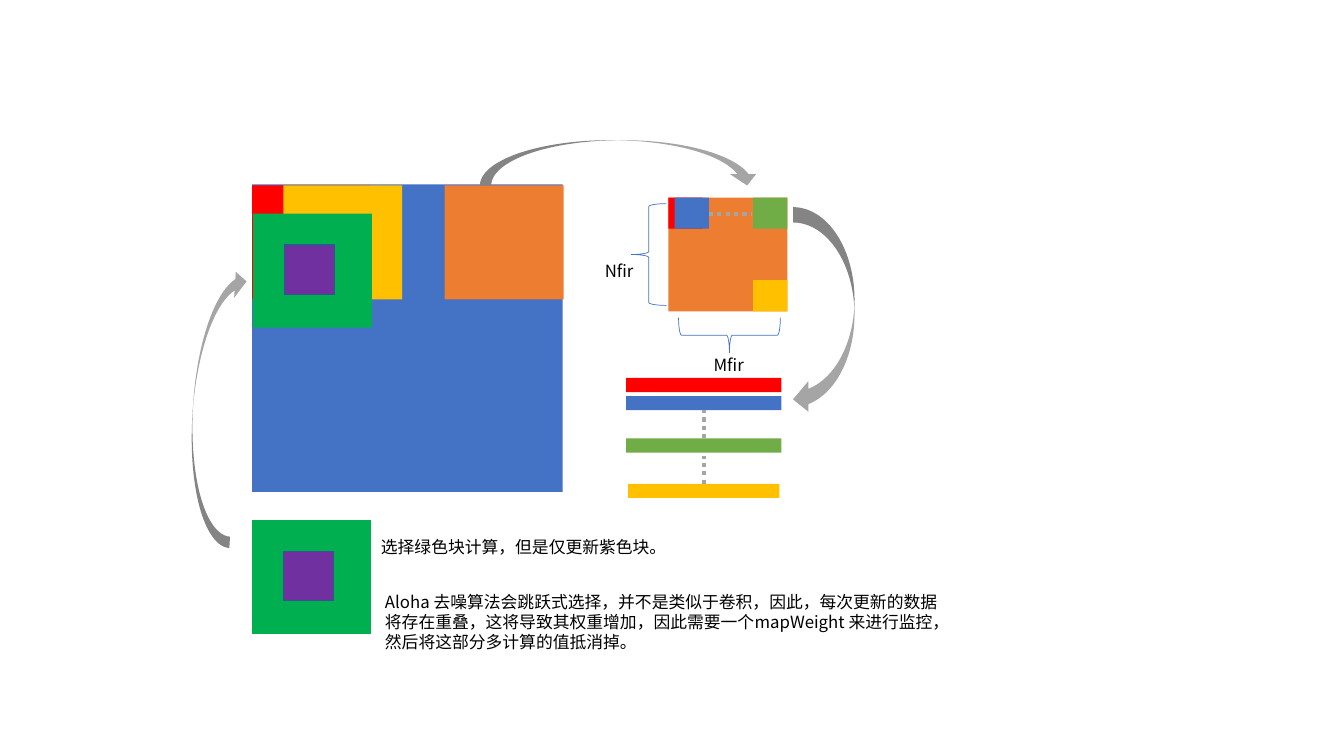
from lxml import etree
from pptx import Presentation
from pptx import util as u
from pptx.dml.color import RGBColor
from pptx.enum import dml, shapes, text
from pptx.oxml import ns

FONT = "Noto Sans CJK SC"
BLUE = RGBColor(0x44, 0x72, 0xC4)
ORANGE = RGBColor(0xED, 0x7D, 0x31)
GRAY = RGBColor(0xA5, 0xA5, 0xA5)
RED = RGBColor(0xFF, 0x00, 0x00)
YELLOW = RGBColor(0xFF, 0xC0, 0x00)
LIME = RGBColor(0x70, 0xAD, 0x47)
GREEN = RGBColor(0x00, 0xB0, 0x50)
PURPLE = RGBColor(0x70, 0x30, 0xA0)
PURPLE_EDGE = RGBColor(0x32, 0x54, 0x91)
BLACK = RGBColor(0, 0, 0)

# Sizes in inches
IMAGE = (2.5, 1.83, 3.08, 3.05)
BLOCK = (1.18, 1.13)
PATCH = (0.34, 0.31)
CORE = (0.5, 0.49)
STEP = 0.31
STACK = (6.63, 1.96)
BAR_LEFT, BAR_WIDTH, BAR_HEIGHT = 6.21, 1.54, 0.14

BLOCKS = [(4.41, 1.84, ORANGE), (*STACK, ORANGE), (2.5, 1.84, RED), (2.5 + STEP, 1.84, YELLOW)]
FAR_X, FAR_Y = BLOCK[0] - PATCH[0], BLOCK[1] - PATCH[1]
PATCHES = [(0, 0, RED), (0.06, 0, BLUE), (FAR_X, 0, LIME), (FAR_X, FAR_Y, YELLOW)]
BARS = [(3.75, 0, RED), (3.93, 0, BLUE), (4.35, 0, LIME), (4.8, 0.02, YELLOW)]
KERNELS = [(2.51, 2.12), (2.5, 5.16)]
DOTS = [(7.03, 2.12, 7.46, 2.12), (6.98, 4.35, 6.98, 4.07), (6.98, 4.8, 6.98, 4.52)]
ARROWS = [  # area, rotation, bend
    ((4.76, 1.39, 2.78, 0.45), 0, 0.575),
    ((7.14, 2.78, 2.06, 0.61), 90, 0.5),
    ((0.75, 3.81, 2.78, 0.45), 273.7, 0.575),
]
BRACES = [((6.26, 2.02, 0.35, 1.01), 0), ((7.06, 2.82, 0.35, 1.01), 270)]
LABELS = [
    ((5.9, 2.54, 0.64, 0.3), "Nfir"),
    ((6.98, 3.47, 0.64, 0.3), "Mfir"),
    ((3.68, 5.28, 3.07, 0.3), "选择绿色块计算，但是仅更新紫色块。"),
    ((3.72, 5.82, 5.77, 0.71),
     "Aloha 去噪算法会跳跃式选择，并不是类似于卷积，因此，每次更新的数据"
     "将存在重叠，这将导致其权重增加，因此需要一个mapWeight 来进行监控，"
     "然后将这部分多计算的值抵消掉。"),
]


def inches(area):
    """Turn a row of inch values into lengths."""
    return [u.Inches(value) for value in area]


def assign(target, **formats):
    """Set each format value on the target."""
    for name, value in formats.items():
        setattr(target, name, value)


def draw(page, kind, area, fill=None, edge=None, width=1, rotation=0):
    """Add a flat preset shape with an optional fill and edge."""
    shape = page.shapes.add_shape(kind, *inches(area))
    shape.shadow.inherit = False
    shape.rotation = rotation
    for part, color in ((shape.fill, fill), (shape.line.fill, edge)):
        if color is None:
            part.background()
        else:
            part.solid()
            part.fore_color.rgb = color
    if edge is not None:
        shape.line.width = u.Pt(width)
    return shape


def draw_dots(page, ends):
    """Add a dotted gray line."""
    line = page.shapes.add_connector(shapes.MSO_CONNECTOR.STRAIGHT, *inches(ends))
    line.line.color.rgb = GRAY
    assign(line.line, width=u.Pt(3), dash_style=dml.MSO_LINE.ROUND_DOT)
    etree.SubElement(line._element.spPr, ns.qn("a:effectLst"))


def write(page, area, words):
    """Add a wrapped text box."""
    box = page.shapes.add_textbox(*inches(area))
    assign(box.text_frame, word_wrap=True, auto_size=text.MSO_AUTO_SIZE.SHAPE_TO_FIT_TEXT)
    span = box.text_frame.paragraphs[0].add_run()
    span.text = words
    assign(span.font, size=u.Pt(12), name=FONT)
    span.font.color.rgb = BLACK
    etree.SubElement(span.font._element, ns.qn("a:ea"), typeface=FONT)


def build():
    """Build the deck and save it."""
    deck = Presentation()
    assign(deck, slide_width=u.Inches(13.33), slide_height=u.Inches(7.5))
    page = deck.slides.add_slide(deck.slide_layouts[6])
    kinds = shapes.MSO_SHAPE

    draw(page, kinds.RECTANGLE, IMAGE, BLUE)
    for left, top, color in BLOCKS:
        draw(page, kinds.RECTANGLE, (left, top, *BLOCK), color)
    for across, down, color in PATCHES:
        draw(page, kinds.RECTANGLE, (STACK[0] + across, STACK[1] + down, *PATCH), color)
    for top, inset, color in BARS:
        area = (BAR_LEFT + inset, top, BAR_WIDTH - 2 * inset, BAR_HEIGHT)
        draw(page, kinds.RECTANGLE, area, color)
    for left, top in KERNELS:
        draw(page, kinds.RECTANGLE, (left, top, *BLOCK), GREEN)
        draw(page, kinds.RECTANGLE, (left + STEP, top + STEP, *CORE), PURPLE, PURPLE_EDGE)
    for ends in DOTS:
        draw_dots(page, ends)
    for area, rotation, bend in ARROWS:
        arrow = draw(page, kinds.CURVED_DOWN_ARROW, area, GRAY, rotation=rotation)
        arrow.adjustments[1] = bend
    for area, rotation in BRACES:
        draw(page, kinds.LEFT_BRACE, area, edge=BLUE, width=0.5, rotation=rotation)
    for area, words in LABELS:
        write(page, area, words)
    deck.save("out.pptx")


build()
